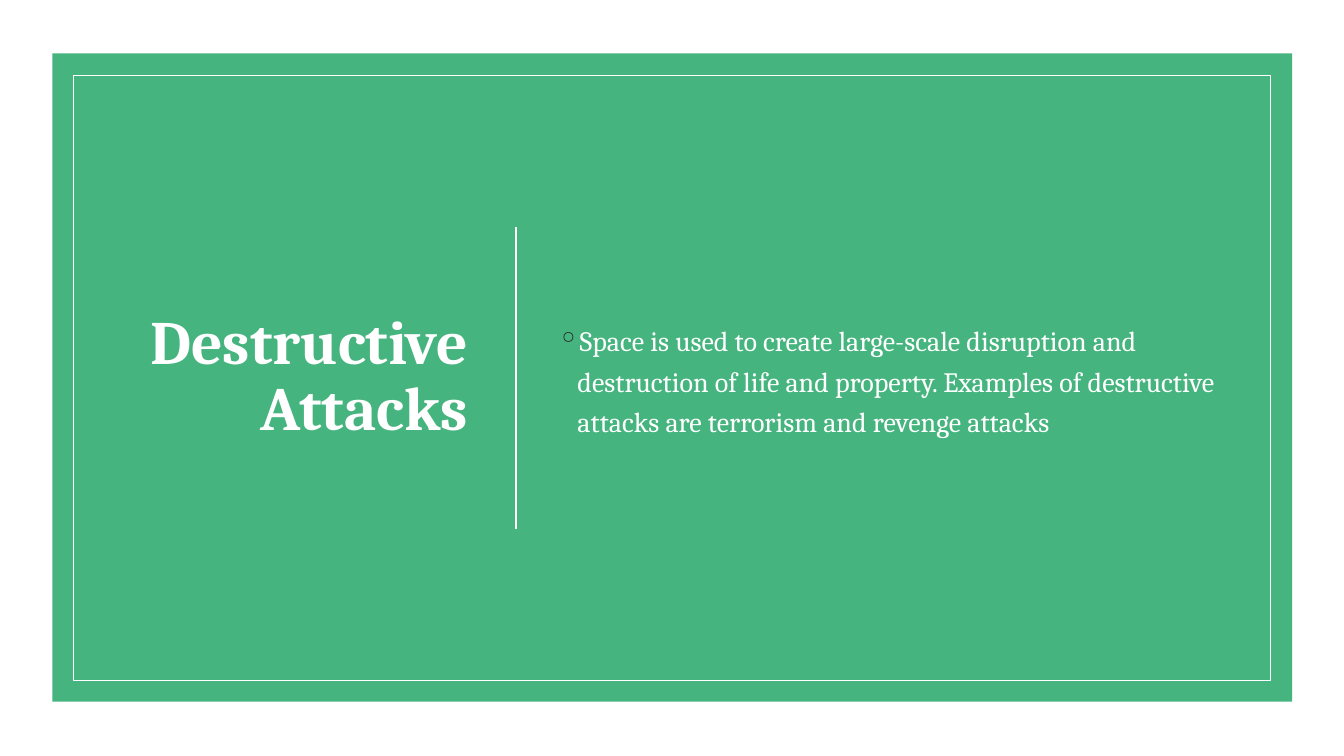
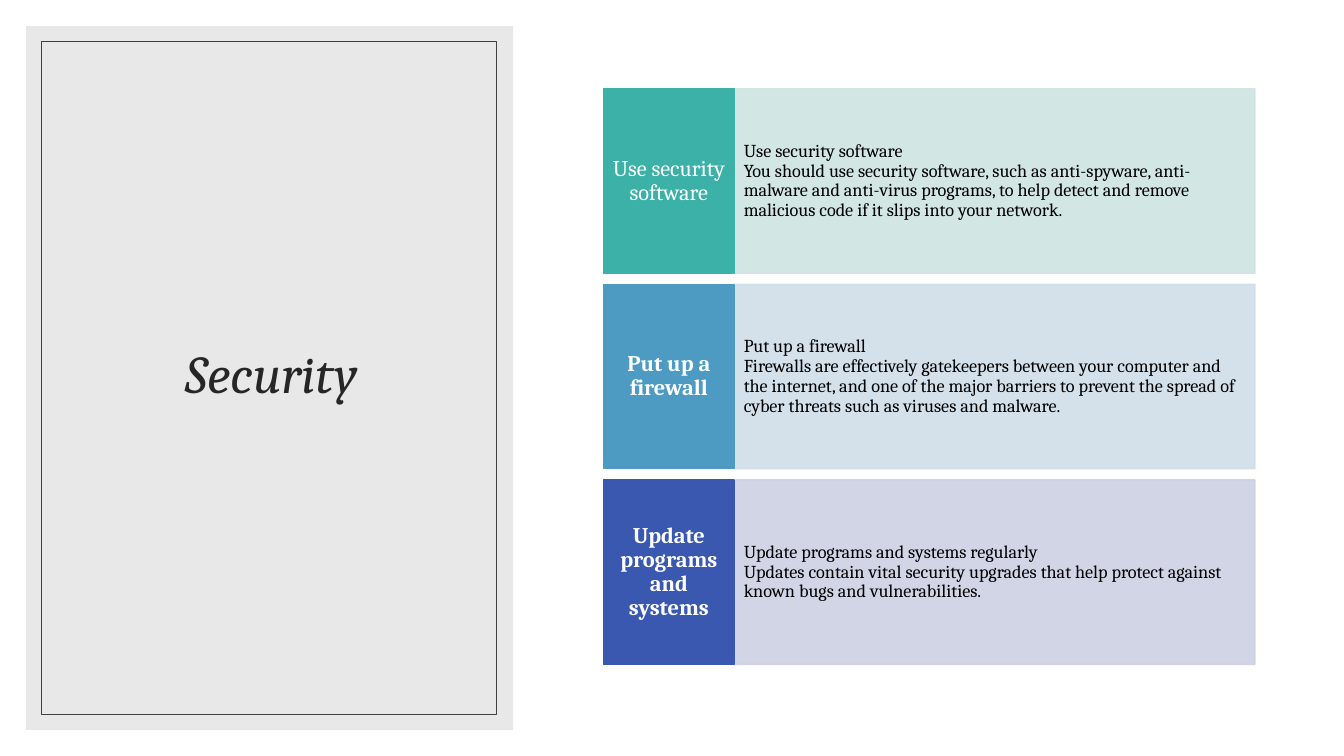
from lxml.etree import SubElement
from pptx import Presentation
from pptx.dml.color import RGBColor
from pptx.enum.shapes import MSO_CONNECTOR as Connector, MSO_SHAPE as Shape
from pptx.enum.text import MSO_ANCHOR as Anchor, PP_ALIGN as Align
from pptx.oxml.ns import qn
from pptx.util import Pt

FONT = "Cambria"
WHITE = "FFFFFF"
BLACK = "000000"
INK = "262626"
GREEN = "46B47E"
GREY = "D9D9D9"
FRAME_GREY = "404040"

TITLE = {"spacing": 0.9, "margins": (7.2, 3.6)}
ROW_LEFT, ROW_TOP, ROW_HEIGHT, ROW_STEP = 431.3, 63.4, 131.8, 139.7
LABEL_WIDTH, DETAIL_WIDTH = 92.9, 372.2

ROWS = [
    ("Use security software", False, "3BB1A8", "CEE4E1",
     "Use security software\nYou should use security software, such as anti-spyware, "
     "anti-malware and anti-virus programs, to help detect and remove malicious code "
     "if it slips into your network."),
    ("Put up a firewall", True, "4D9BC3", "D0DEE9",
     "Put up a firewall\nFirewalls are effectively gatekeepers between your computer "
     "and the internet, and one of the major barriers to prevent the spread of cyber "
     "threats such as viruses and malware."),
    ("Update programs and systems", True, "3B58B1", "CED1E4",
     "Update programs and systems regularly\nUpdates contain vital security upgrades "
     "that help protect against known bugs and vulnerabilities."),
]


def colour(value):
    return RGBColor.from_string(value)


def set_opacity(shape, percent):
    for node in shape._element.spPr.iter(qn("a:srgbClr")):
        SubElement(node, qn("a:alpha"), val=str(percent * 1000))


def add_rect(page, area, fill=None, line=None, weight=1, opacity=100):
    box = page.shapes.add_shape(Shape.RECTANGLE, *map(Pt, area))
    box.shadow.inherit = False
    if fill:
        box.fill.solid()
        box.fill.fore_color.rgb = colour(fill)
    else:
        box.fill.background()
    if line:
        box.line.color.rgb = colour(line)
        box.line.width = Pt(weight)
    else:
        box.line.fill.background()
    if opacity < 100:
        set_opacity(box, opacity)
    return box


def write(box, text, size, ink, align=Align.LEFT, spacing=0.9, margins=(7.2, 3.6),
          **styles):
    frame = box.text_frame
    side, edge = map(Pt, margins)
    layout = {"word_wrap": True, "vertical_anchor": Anchor.MIDDLE,
              "margin_left": side, "margin_right": side,
              "margin_top": edge, "margin_bottom": edge}
    for name, value in layout.items():
        setattr(frame, name, value)
    frame.text = text
    font_format = {"name": FONT, "size": Pt(size), **styles}
    for para in frame.paragraphs:
        para.alignment = align
        para.line_spacing = spacing
        for span in para.runs:
            span.font.color.rgb = colour(ink)
            for name, value in font_format.items():
                setattr(span.font, name, value)


def add_text(page, area, *content, **styles):
    box = page.shapes.add_textbox(*map(Pt, area))
    write(box, *content, **styles)
    return box


def add_bullet(para, mark, ink, indent):
    props = para._p.get_or_add_pPr()
    props.set("marL", str(Pt(indent)))
    props.set("indent", str(-Pt(indent)))
    SubElement(SubElement(props, qn("a:buClr")), qn("a:srgbClr"), val=ink)
    SubElement(props, qn("a:buChar"), char=mark)


def add_divider(page, x, top, bottom, ink, weight):
    line = page.shapes.add_connector(Connector.STRAIGHT, Pt(x), Pt(top), Pt(x), Pt(bottom))
    line.line.color.rgb = colour(ink)
    line.line.width = Pt(weight)
    SubElement(line._element.spPr, qn("a:effectLst"))


def add_row(page, top, label, bold, accent, tint, detail):
    detail_area = (ROW_LEFT + LABEL_WIDTH, top, DETAIL_WIDTH, ROW_HEIGHT)
    label_area = (ROW_LEFT, top, LABEL_WIDTH, ROW_HEIGHT)
    detail_box = add_rect(page, detail_area, tint, tint, opacity=90)
    write(detail_box, detail, 13, BLACK, margins=(7.2, 33.5))
    label_box = add_rect(page, label_area, accent, accent)
    write(label_box, label, 16, WHITE, Align.CENTER, margins=(5, 13), bold=bold)


def build_attacks(page):
    add_rect(page, (37.4, 38.2, 885.6, 463), GREEN)
    add_divider(page, 368.6, 162, 378, WHITE, 1.25)
    add_rect(page, (52.6, 54, 854.6, 432), line=WHITE, weight=0.5)
    add_text(page, (68.4, 78.5, 272.9, 382.3), "Destructive Attacks", 44, WHITE,
             Align.RIGHT, bold=True, **TITLE)
    body = add_text(page, (391, 78.5, 488.9, 382.3),
                    "Space is used to create large-scale disruption and destruction of "
                    "life and property. Examples of destructive attacks are terrorism "
                    "and revenge attacks", 20, WHITE, spacing=1.2)
    add_bullet(body.text_frame.paragraphs[0], "◦", INK, 14.4)


def build_security(page):
    add_rect(page, (18.7, 18.7, 347.8, 502.6), GREY, opacity=60)
    add_text(page, (45.4, 43.9, 296.6, 449.3), "Security", 38, INK, Align.CENTER,
             italic=True, **TITLE)
    add_rect(page, (29.5, 29.5, 324.7, 481), line=FRAME_GREY, weight=0.5)
    for index, row in enumerate(ROWS):
        add_row(page, ROW_TOP + index * ROW_STEP, *row)


def main():
    deck = Presentation()
    deck.slide_width, deck.slide_height = Pt(960), Pt(540)
    for build in (build_attacks, build_security):
        build(deck.slides.add_slide(deck.slide_layouts[6]))
    deck.save("out.pptx")


if __name__ == "__main__":
    main()
